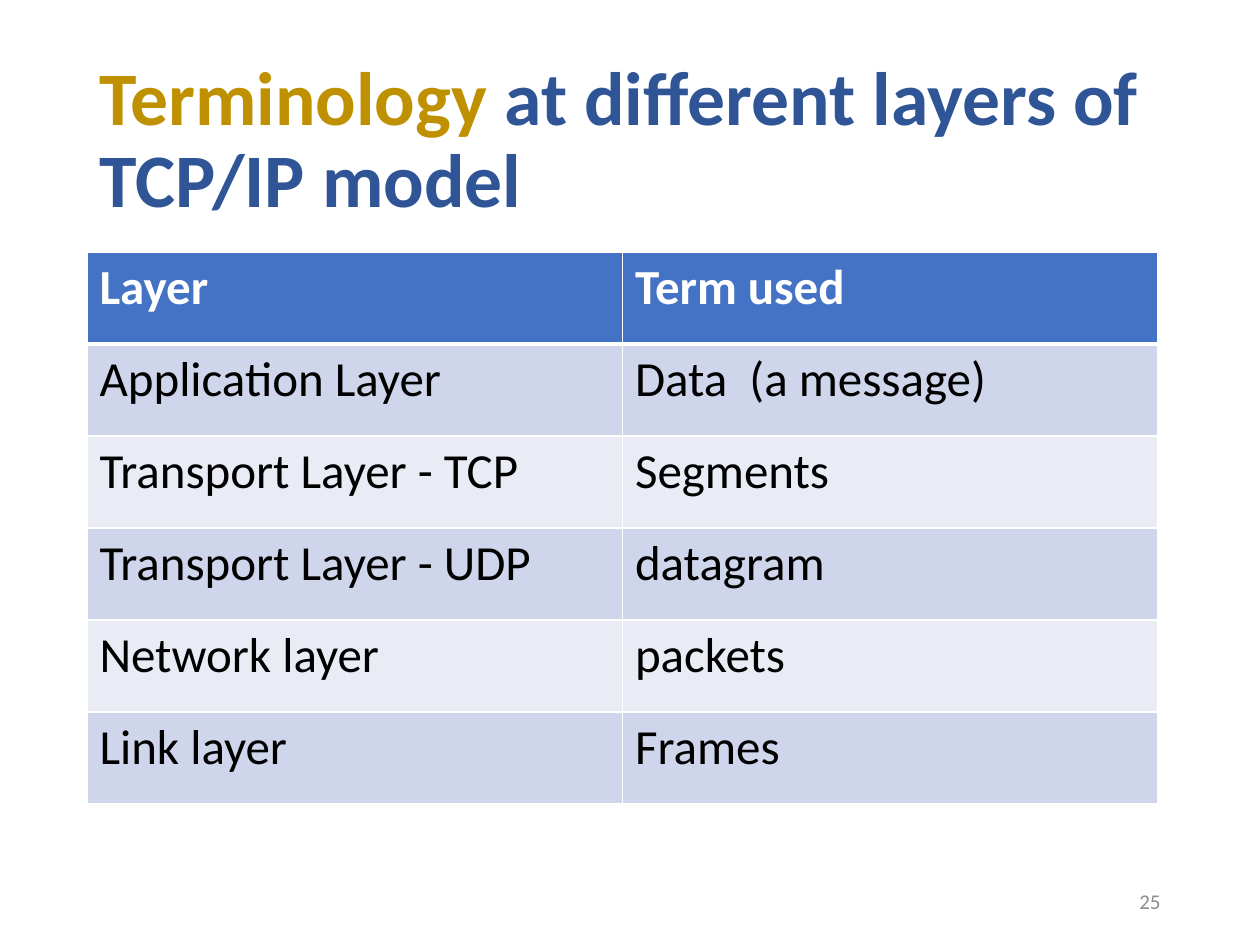
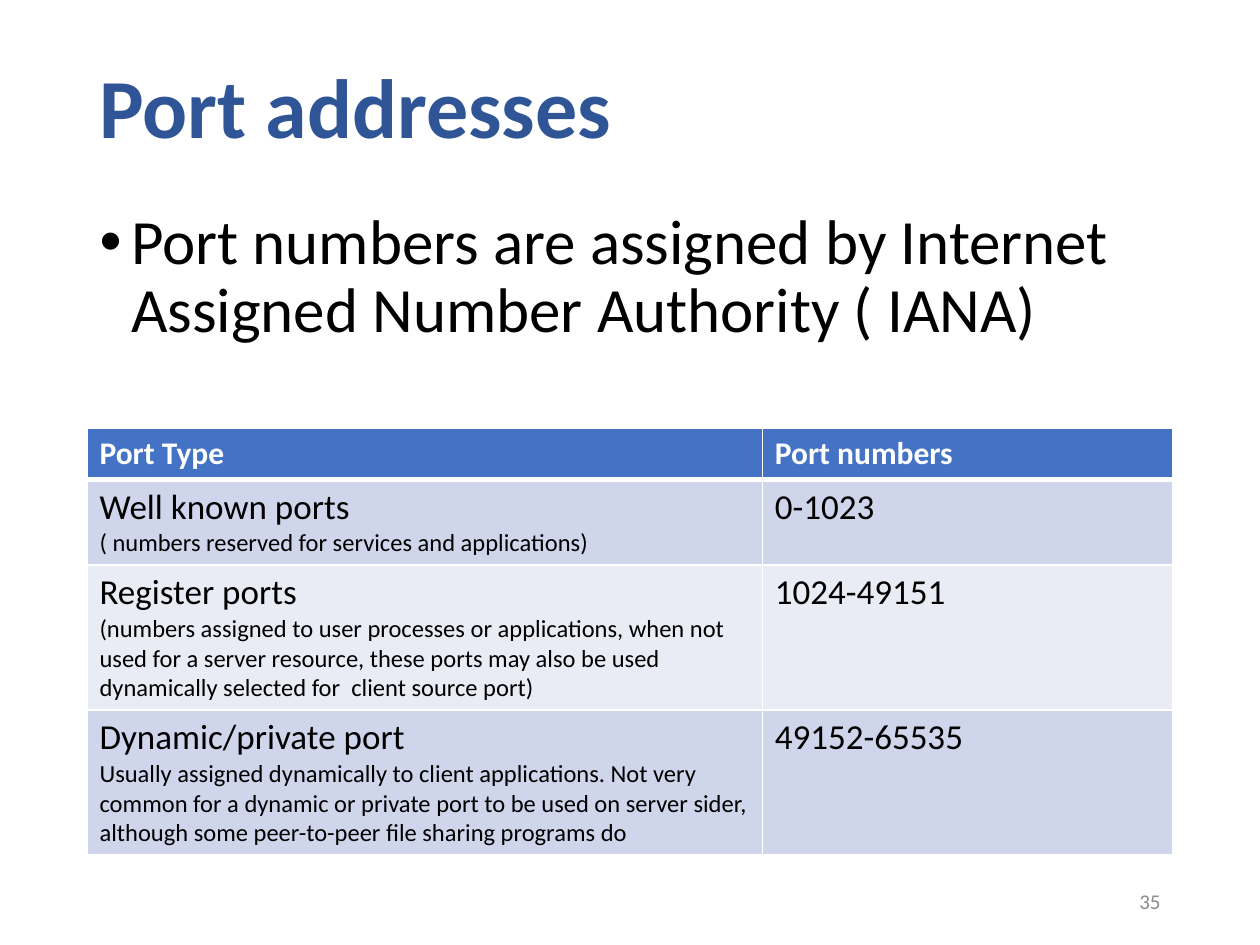
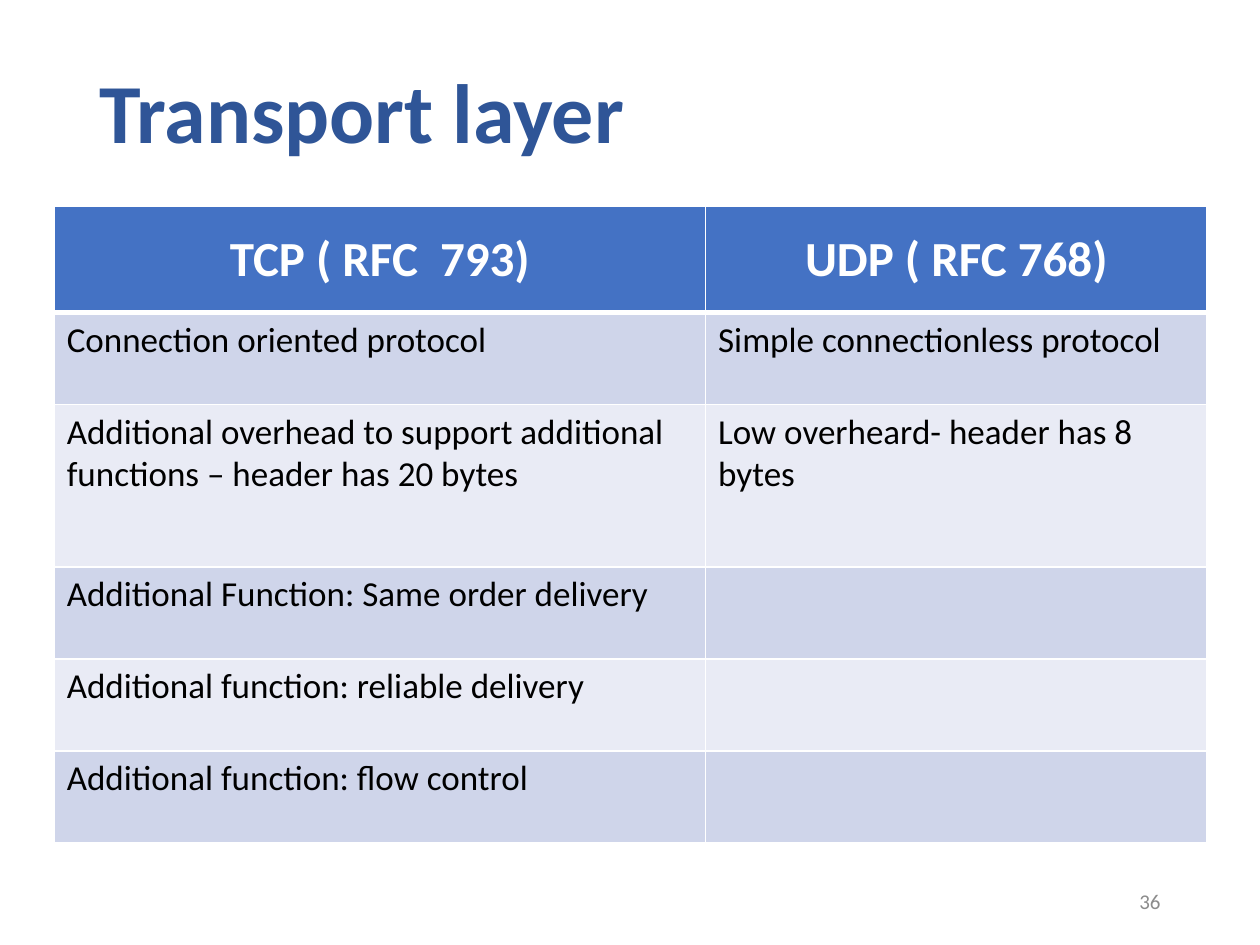
from dataclasses import dataclass

from lxml import etree
from pptx import Presentation, util as u
from pptx.dml import color
from pptx.enum import text
from pptx.oxml import ns


@dataclass(frozen=True)
class Theme:
    face: str = "Calibri"
    title: str = "2F5597"
    gold: str = "BF9000"
    head: str = "4472C4"
    odd: str = "CFD5EA"
    even: str = "E9EBF5"
    white: str = "FFFFFF"
    black: str = "000000"
    grey: str = "8C8C8C"
    large: float = 48
    fit: float = 43.2
    lead: float = 36
    big: float = 28
    mid: float = 20
    label: float = 18
    note: float = 14
    foot: float = 12
    thin: float = 1
    thick: float = 3


LEFT = 0.69
WIDE = 8.62
LEFT_AL = text.PP_ALIGN.LEFT
MID_AL = text.PP_ALIGN.CENTER
RIGHT_AL = text.PP_ALIGN.RIGHT
TOP = text.MSO_ANCHOR.TOP
MIDDLE = text.MSO_ANCHOR.MIDDLE


def apply(obj, vals):
    for key, val in vals.items():
        setattr(obj, key, val)


class Deck:
    def __init__(self, theme):
        self.theme = theme
        self.prs = Presentation()
        apply(self.prs, {"slide_width": u.Inches(10), "slide_height": u.Inches(7.5)})
        self.slide = None

    def start(self, layout):
        self.slide = self.prs.slides.add_slide(self.prs.slide_layouts[layout])

    def place(self, shape, box):
        names = ("left", "top", "width", "height")
        apply(shape, dict(zip(names, map(u.Inches, box))))

    def run(self, para, words, size, tint, bold=False):
        run = para.add_run()
        run.text = words
        apply(run.font, {"name": self.theme.face, "size": u.Pt(size), "bold": bold})
        run.font.color.rgb = color.RGBColor.from_string(tint)

    def frame(self, shape, anchor):
        frame = shape.text_frame
        apply(frame, {"word_wrap": True, "auto_size": text.MSO_AUTO_SIZE.NONE,
                      "vertical_anchor": anchor})
        return frame.paragraphs[0]

    def title(self, parts, size, height):
        shape = self.slide.shapes.title
        self.place(shape, (LEFT, 0.4, WIDE, height))
        para = self.frame(shape, MIDDLE)
        apply(para, {"alignment": LEFT_AL, "line_spacing": 0.9})
        for words, tint in parts:
            self.run(para, words, size, tint, True)

    def body(self, words):
        shape = self.slide.placeholders[1]
        self.place(shape, (LEFT, 1.62, WIDE, 4.76))
        para = self.frame(shape, TOP)
        apply(para, {"line_spacing": 0.9, "space_before": u.Pt(10)})
        props = para._p.get_or_add_pPr()
        props.set("marL", str(u.Inches(0.25)))
        props.set("indent", str(u.Inches(-0.25)))
        self.run(para, words, self.theme.lead, self.theme.black)

    def number(self, num):
        box = map(u.Inches, (7.06, 6.95, 2.25, 0.4))
        para = self.frame(self.slide.shapes.add_textbox(*box), MIDDLE)
        para.alignment = RIGHT_AL
        self.run(para, str(num), self.theme.foot, self.theme.grey)

    def border(self, cell, row):
        thin, thick = self.theme.thin, self.theme.thick
        sides = {"lnL": thin, "lnR": thin,
                 "lnT": thick if row == 1 else thin,
                 "lnB": thick if row == 0 else thin}
        props = cell._tc.get_or_add_tcPr()
        for spot, (side, width) in enumerate(sides.items()):
            line = etree.Element(ns.qn("a:" + side), w=str(u.Pt(width)))
            fill = etree.SubElement(line, ns.qn("a:solidFill"))
            etree.SubElement(fill, ns.qn("a:srgbClr"), val=self.theme.white)
            props.insert(spot, line)

    def cell(self, cell, row, words, size, align, anchor):
        look = self.theme
        cell.fill.solid()
        tint = look.head if row == 0 else look.odd if row % 2 else look.even
        cell.fill.fore_color.rgb = color.RGBColor.from_string(tint)
        cell.vertical_anchor = anchor
        self.border(cell, row)
        for pos, line in enumerate(words.split("\n") if words else ()):
            frame = cell.text_frame
            para = frame.add_paragraph() if pos else frame.paragraphs[0]
            para.alignment = align
            self.run(para, line, look.note if pos else size,
                     look.white if row == 0 else look.black, row == 0)

    def table(self, spot, cols, rows, data, sizes, align=LEFT_AL, anchor=TOP):
        box = map(u.Inches, (*spot, sum(cols), sum(rows)))
        grid = self.slide.shapes.add_table(len(rows), len(cols), *box).table
        for col, width in zip(grid.columns, cols):
            col.width = u.Inches(width)
        for row, height in enumerate(rows):
            grid.rows[row].height = u.Inches(height)
            form = (sizes[0], align, anchor) if row == 0 else (sizes[1], LEFT_AL, TOP)
            for col, words in enumerate(data[row]):
                self.cell(grid.cell(row, col), row, words, *form)


def terms(deck):
    look = deck.theme
    deck.start(5)
    deck.title([("Terminology", look.gold),
                (" at different layers of TCP/IP model", look.title)], look.fit, 1.45)
    data = [
        ("Layer", "Term used"),
        ("Application Layer", "Data  (a message)"),
        ("Transport Layer - TCP", "Segments"),
        ("Transport Layer - UDP", "datagram"),
        ("Network layer", "packets"),
        ("Link layer", "Frames"),
    ]
    deck.table((LEFT, 2), [4.25] * 2, [0.73] * 6, data, (look.big, look.big))
    deck.number(25)


def ports(deck):
    look = deck.theme
    deck.start(1)
    deck.title([("Port addresses", look.title)], look.large, 0.97)
    deck.body("Port numbers are assigned by Internet Assigned Number Authority ( IANA)")
    data = [
        ("Port Type", "Port numbers"),
        ("Well known ports\n( numbers reserved for services and applications)", "0-1023"),
        ("Register ports\n(numbers assigned to user processes or applications, when not "
         "used for a server resource, these ports may also be used dynamically selected "
         "for  client source port)", "1024-49151"),
        ("Dynamic/private port\nUsually assigned dynamically to client applications. "
         "Not very common for a dynamic or private port to be used on server sider, "
         "although some peer-to-peer file sharing programs do", "49152-65535"),
    ]
    deck.table((LEFT, 3.4), [5.36, 3.26], [0.4, 0.67, 1.13, 1.13], data,
               (look.label, look.mid))
    deck.number(35)


def layer(deck):
    look = deck.theme
    deck.start(5)
    deck.title([("Transport layer", look.title)], look.large, 1.05)
    data = [
        ("TCP ( RFC  793)", "UDP ( RFC 768)"),
        ("Connection oriented protocol", "Simple connectionless protocol"),
        ("Additional overhead to support additional functions – header has 20 bytes",
         "Low overheard- header has 8 bytes"),
        ("Additional Function: Same order delivery", ""),
        ("Additional function: reliable delivery", ""),
        ("Additional function: flow control", ""),
    ]
    deck.table((0.43, 1.64), [5.17, 3.98], [0.84, 0.73, 1.29] + [0.73] * 3, data,
               (look.big, look.mid), MID_AL, MIDDLE)
    deck.number(36)


def main():
    deck = Deck(Theme())
    for build in (terms, ports, layer):
        build(deck)
    deck.prs.save("out.pptx")


if __name__ == "__main__":
    main()
